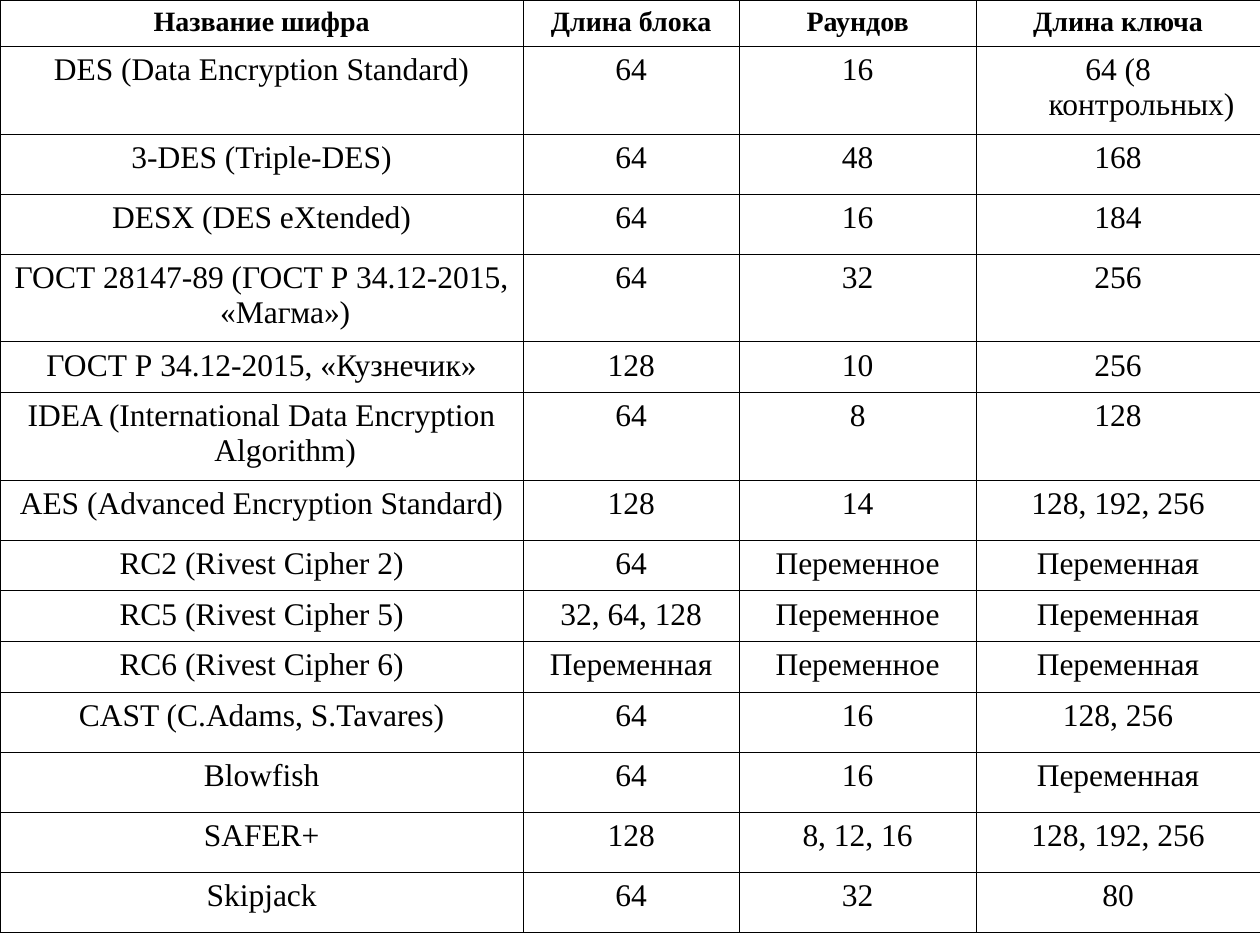
from lxml import etree
from pptx import Presentation
from pptx.dml.color import RGBColor
from pptx.enum.text import MSO_ANCHOR, PP_ALIGN
from pptx.oxml.ns import qn
from pptx.util import Cm, Pt

CENTER = PP_ALIGN.CENTER
TOP = MSO_ANCHOR.TOP
BLACK = RGBColor(0x00, 0x00, 0x00)

SINGLE, ROOMY, DOUBLE = Cm(1.02), Cm(1.21), Cm(1.77)
HANGING = Cm(0.95)
COLUMN_WIDTHS = [Cm(10.55), Cm(4.35), Cm(4.78), Cm(5.72)]
CELL_FORMAT = {
    "margin_left": Cm(0.25), "margin_right": Cm(0.25),
    "margin_top": Cm(0.13), "margin_bottom": Cm(0.13),
    "vertical_anchor": TOP,
}
HEADER_FONT = {"name": "Times New Roman", "size": Pt(16), "bold": True}
BODY_FONT = {"name": "Times New Roman", "size": Pt(18), "bold": False}

HEADER = (Cm(0.93), "Название шифра", "Длина блока", "Раундов", "Длина ключа")
CIPHERS = [
    (DOUBLE, "DES (Data Encryption Standard)", "64", "16", "64 (8 контрольных)"),
    (ROOMY, "3-DES (Triple-DES)", "64", "48", "168"),
    (ROOMY, "DESX (DES eXtended)", "64", "16", "184"),
    (DOUBLE, "ГОСТ 28147-89 (ГОСТ Р 34.12-2015, «Магма»)", "64", "32", "256"),
    (SINGLE, "ГОСТ Р 34.12-2015, «Кузнечик»", "128", "10", "256"),
    (DOUBLE, "IDEA (International Data Encryption Algorithm)", "64", "8", "128"),
    (ROOMY, "AES (Advanced Encryption Standard)", "128", "14", "128, 192, 256"),
    (SINGLE, "RC2 (Rivest Cipher 2)", "64", "Переменное", "Переменная"),
    (SINGLE, "RC5 (Rivest Cipher 5)", "32, 64, 128", "Переменное", "Переменная"),
    (SINGLE, "RC6 (Rivest Cipher 6)", "Переменная", "Переменное", "Переменная"),
    (ROOMY, "CAST (C.Adams, S.Tavares)", "64", "16", "128, 256"),
    (ROOMY, "Blowfish", "64", "16", "Переменная"),
    (ROOMY, "SAFER+", "128", "8, 12, 16", "128, 192, 256"),
    (ROOMY, "Skipjack", "64", "32", "80"),
]


def apply_format(target, values):
    """Set each named attribute of the target."""
    for name, value in values.items():
        setattr(target, name, value)


def add_borders(cell):
    """Draw a thin black line on all four sides of a cell."""
    properties = cell._tc.get_or_add_tcPr()
    for position, side in enumerate(("a:lnL", "a:lnR", "a:lnT", "a:lnB")):
        line = etree.Element(qn(side), w=str(Pt(0.45)))
        fill = etree.SubElement(line, qn("a:solidFill"))
        etree.SubElement(fill, qn("a:srgbClr"), val=str(BLACK))
        properties.insert(position, line)


def fill_cell(cell, text, font_format):
    """Write centred text with a hanging indent into a bordered cell."""
    apply_format(cell, CELL_FORMAT)
    cell.fill.background()
    add_borders(cell)
    paragraph = cell.text_frame.paragraphs[0]
    paragraph.alignment = CENTER
    apply_format(paragraph.add_run().font, font_format)
    run = paragraph.runs[0]
    run.text = text
    run.font.color.rgb = BLACK
    properties = paragraph._p.get_or_add_pPr()
    properties.set("marL", str(HANGING))
    properties.set("indent", str(-HANGING))


def add_cipher_table(slide):
    """Add the table that compares block ciphers."""
    records = [HEADER, *CIPHERS]
    height = sum(record[0] for record in records)
    table = slide.shapes.add_table(
        len(records), len(COLUMN_WIDTHS), Cm(0), Cm(0), sum(COLUMN_WIDTHS), height
    ).table
    apply_format(table, {"first_row": False, "horz_banding": False})
    for column, width in zip(table.columns, COLUMN_WIDTHS):
        column.width = width
    for row, record in zip(table.rows, records):
        row.height = record[0]
        font_format = HEADER_FONT if record is HEADER else BODY_FONT
        for cell, text in zip(row.cells, record[1:]):
            fill_cell(cell, text, font_format)


def main():
    """Build and save the presentation."""
    presentation = Presentation()
    apply_format(presentation, {"slide_width": Cm(25.4), "slide_height": Cm(19.05)})
    slide = presentation.slides.add_slide(presentation.slide_layouts[6])
    add_cipher_table(slide)
    presentation.save("out.pptx")


if __name__ == "__main__":
    main()
